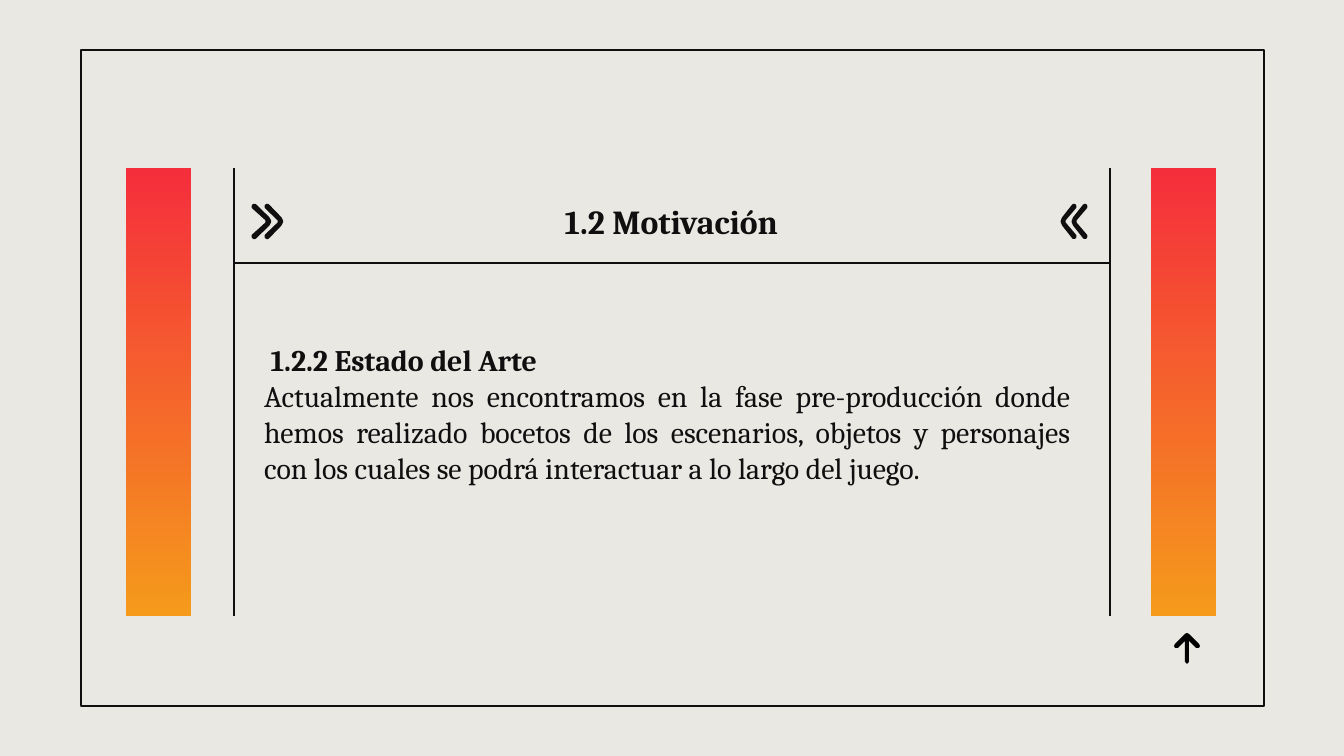
import lxml.etree
import pptx
import pptx.dml.color
import pptx.enum.dml
import pptx.enum.shapes
import pptx.enum.text
import pptx.oxml.ns
import pptx.util

EMU_PER_PX = 914400 / 134.4
INK = "100E0E"
PAPER = "E9E8E3"
BAR_TOP, BAR_BOTTOM = 168, 616

# Outline of a right-pointing chevron, as fractions of its width and height.
CHEVRON = [(0, 0.03), (0.08, 0), (0.16, 0.03), (0.9, 0.4), (1, 0.5), (0.9, 0.6),
           (0.16, 0.97), (0.08, 1), (0, 0.97), (0, 0.93), (0.82, 0.55),
           (0.82, 0.45), (0, 0.07)]
# Right half of an upward arrow, in px from its tip.
ARROW_HALF = [(0, 0), (2, 1), (12, 11), (13, 13), (12, 15), (9, 15), (2, 8),
              (2, 29), (0, 31)]


def px(length):
    return pptx.util.Emu(round(length * EMU_PER_PX))


def color(value):
    return pptx.dml.color.RGBColor.from_string(value)


class SlideBuilder:
    font = "Cambria"

    def __init__(self, deck):
        self.slide = deck.slides.add_slide(deck.slide_layouts[1])
        self.slide.background.fill.solid()
        self.slide.background.fill.fore_color.rgb = color(PAPER)

    def place(self, box, left, top, width, height):
        box.left, box.top, box.width, box.height = map(px, (left, top, width, height))

    def rectangle(self, left, top, width, height):
        box = self.slide.shapes.add_shape(
            pptx.enum.shapes.MSO_SHAPE.RECTANGLE, *map(px, (left, top, width, height)))
        box.shadow.inherit = False
        return box

    def frame(self, *bounds):
        box = self.rectangle(*bounds)
        box.fill.background()
        self.outline(box, 0.75)

    def gradient_bar(self, *bounds):
        box = self.rectangle(*bounds)
        box.line.fill.background()
        box.fill.gradient()
        box.fill.gradient_angle = 270
        for stop, value in zip(box.fill.gradient_stops, ("F52E3C", "F59A1B")):
            stop.color.rgb = color(value)

    def outline(self, item, width):
        item.line.color.rgb = color(INK)
        item.line.width = pptx.util.Pt(width)

    def rule(self, *ends):
        line = self.slide.shapes.add_connector(
            pptx.enum.shapes.MSO_CONNECTOR.STRAIGHT, *map(px, ends))
        self.outline(line, 0.75)
        lxml.etree.SubElement(line._element.spPr, pptx.oxml.ns.qn("a:effectLst"))

    def polygon(self, points, fill):
        corners = [(px(x), px(y)) for x, y in points]
        builder = self.slide.shapes.build_freeform(*corners[0])
        builder.add_line_segments(corners[1:], close=True)
        shape = builder.convert_to_shape()
        shape.shadow.inherit = False
        shape.fill.solid()
        shape.fill.fore_color.rgb = color(fill)
        shape.line.fill.background()
        return shape

    def chevron(self, tail, tip, top, height):
        """Draw a chevron that points from x = tail to x = tip."""
        points = [(tail + (tip - tail) * x, top + height * y) for x, y in CHEVRON]
        self.outline(self.polygon(points, INK), 1.5)

    def up_arrow(self, center, top):
        half = [(center + x, top + y) for x, y in ARROW_HALF]
        mirrored = [(center - x, top + y) for x, y in ARROW_HALF[-2:0:-1]]
        self.polygon(half + mirrored, "000000")

    def text(self, box, bounds, paragraphs, size, bottom_inset=13):
        """Fill a placeholder with (text, bold, alignment) paragraphs."""
        self.place(box, *bounds)
        text = box.text_frame
        text.word_wrap = True
        text.auto_size = pptx.enum.text.MSO_AUTO_SIZE.NONE
        text.vertical_anchor = pptx.enum.text.MSO_ANCHOR.MIDDLE
        text.margin_left = text.margin_right = text.margin_top = px(13)
        text.margin_bottom = px(bottom_inset)
        for index, (words, bold, alignment) in enumerate(paragraphs):
            para = text.add_paragraph() if index else text.paragraphs[0]
            para.alignment = alignment
            para.space_before = pptx.util.Pt(0)
            properties = para._p.get_or_add_pPr()
            properties.set("marL", "0")
            properties.set("indent", "0")
            lxml.etree.SubElement(properties, pptx.oxml.ns.qn("a:buNone"))
            span = para.add_run()
            span.text = words
            span.font.name = self.font
            span.font.size = pptx.util.Pt(size)
            span.font.bold = bold
            span.font.color.rgb = color(INK)


def main():
    deck = pptx.Presentation()
    deck.slide_width, deck.slide_height = px(1344), px(756)
    page = SlideBuilder(deck)
    align = pptx.enum.text.PP_ALIGN

    page.frame(81, 50, 1183, 656)
    page.text(page.slide.shapes.title, (277, 175, 789, 93),
              [("1.2 Motivación", True, align.CENTER)], 18)
    page.text(page.slide.placeholders[1], (251, 285, 833, 289), [
        (" 1.2.2 Estado del Arte", True, align.LEFT),
        ("Actualmente nos encontramos en la fase pre-producción donde hemos "
         "realizado bocetos de los escenarios, objetos y personajes con los "
         "cuales se podrá interactuar a lo largo del juego.", False, align.JUSTIFY),
    ], 16, bottom_inset=45)

    for side in (234, 1110):
        page.rule(side, BAR_TOP, side, BAR_BOTTOM)
    page.rule(234, 263, 1110, 263)
    for left in (126, 1151):
        page.gradient_bar(left, BAR_TOP, 65, BAR_BOTTOM - BAR_TOP)

    for tail, tip in ((253, 270), (266, 282), (1075, 1062), (1086, 1073)):
        page.chevron(tail, tip, 205, 33)
    page.up_arrow(1187, 633)

    deck.save("out.pptx")


if __name__ == "__main__":
    main()
